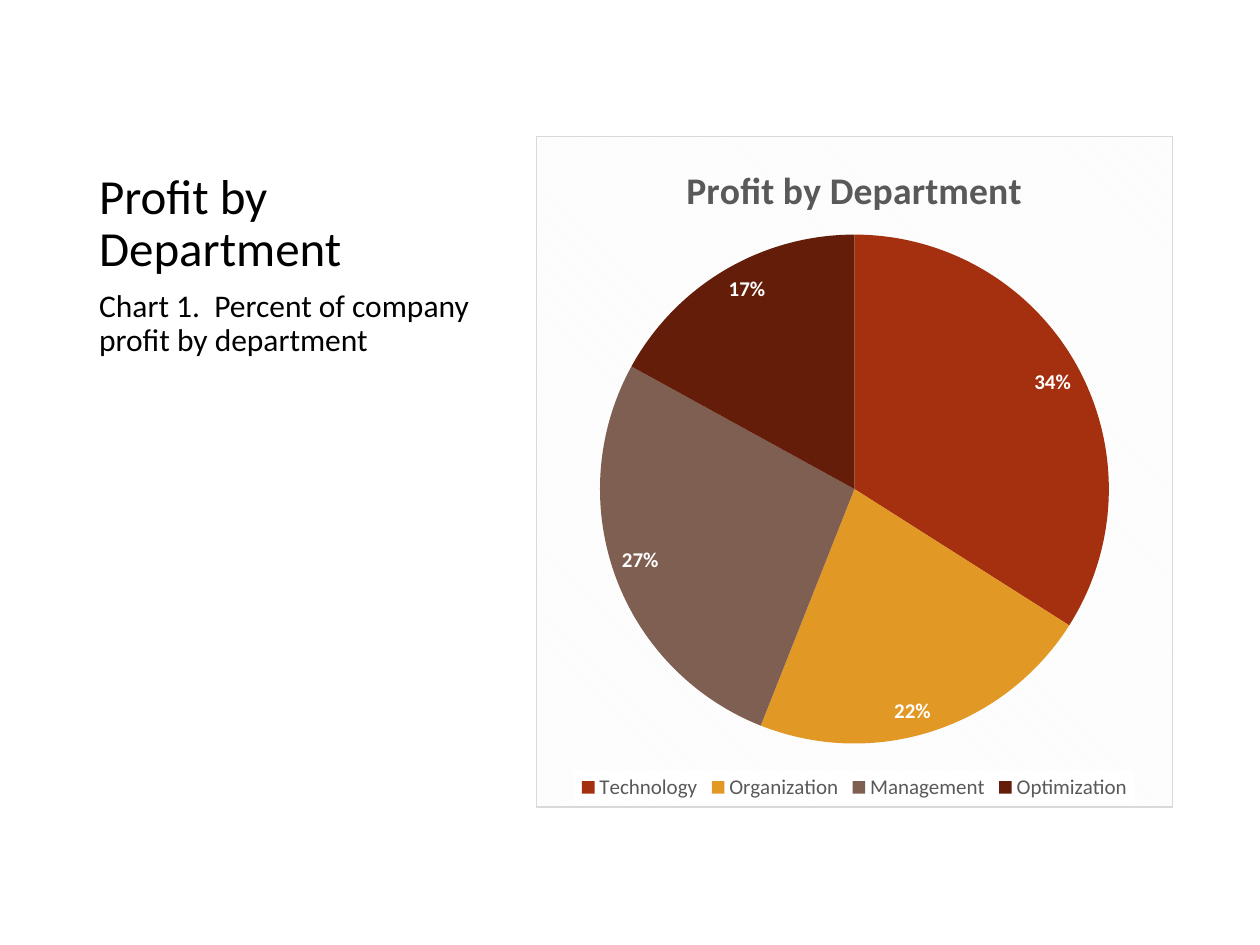
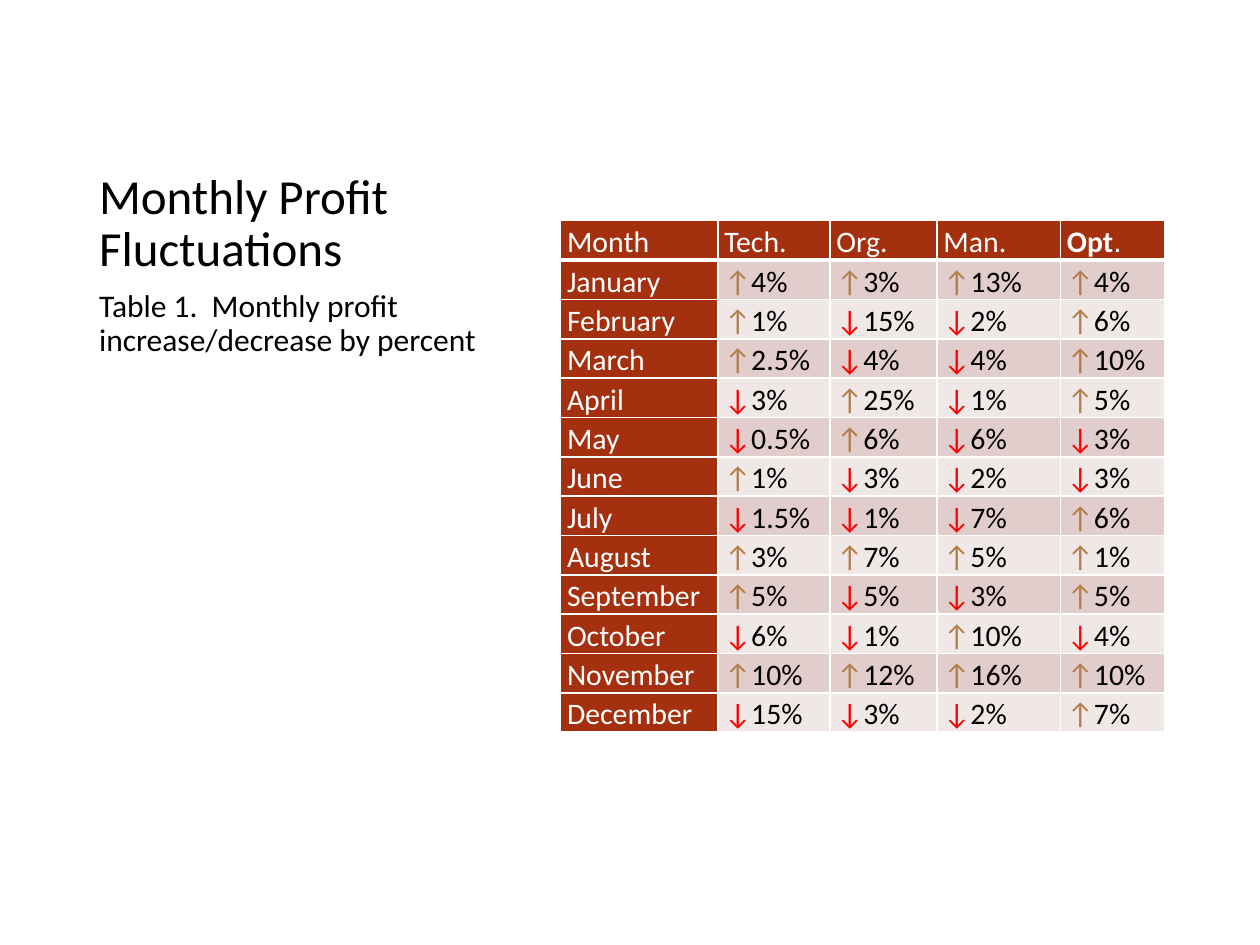
from pptx import Presentation
from pptx.chart.data import CategoryChartData
from pptx.dml.color import RGBColor
from pptx.enum.chart import XL_CHART_TYPE, XL_LABEL_POSITION, XL_LEGEND_POSITION
from pptx.enum.text import MSO_ANCHOR
from pptx.oxml import parse_xml
from pptx.oxml.ns import nsdecls, qn
from pptx.util import Cm, Pt

PIE = XL_CHART_TYPE.PIE
INSIDE_END = XL_LABEL_POSITION.INSIDE_END
LEGEND_BOTTOM = XL_LEGEND_POSITION.BOTTOM
TOP = MSO_ANCHOR.TOP
BOTTOM = MSO_ANCHOR.BOTTOM

FONT = "Calibri"
COLORS = {
    "text": "000000", "white": "FFFFFF", "gray": "595959",
    "border": "D9D9D9", "pattern": "F2F2F2",
    "rust": "A5300F", "amber": "E19825", "taupe": "7F5F52", "maroon": "631D09",
    "band_dark": "E1CDCC", "band_light": "F0E8E7",
    "up": "B27D49", "down": "FF0000",
}


def style_font(font, size, color, bold=False):
    font.name = FONT
    font.size = Pt(size)
    font.bold = bold
    font.color.rgb = RGBColor.from_string(COLORS[color])


def set_layout(element, position, x, y, width, height):
    """Place a chart part by fractions of the chart area."""
    for old in element.findall(qn("c:layout")):
        element.remove(old)
    target = '<c:layoutTarget val="inner"/>' if element.tag == qn("c:plotArea") else ""
    element.insert(position, parse_xml(
        f'<c:layout {nsdecls("c")}><c:manualLayout>{target}'
        '<c:xMode val="edge"/><c:yMode val="edge"/>'
        f'<c:x val="{x}"/><c:y val="{y}"/><c:w val="{width}"/><c:h val="{height}"/>'
        '</c:manualLayout></c:layout>'))


deck = Presentation()
deck.slide_width = Cm(25.4)
deck.slide_height = Cm(19.05)

# Title and caption on every slide
pages = []
for title, caption, caption_width in [
    ("Profit by Department", "Chart 1.  Percent of company profit by department", 8.2),
    ("Monthly Profit Fluctuations",
     "Table 1.  Monthly profit increase/decrease by percent", 8.86),
]:
    page = deck.slides.add_slide(deck.slide_layouts[6])
    pages.append(page)
    for text, top, width, height, size, anchor, space in [
        (title, 1.27, 8.2, 4.45, 28, BOTTOM, 0),
        (caption, 5.72, caption_width, 10.59, 18, TOP, 7.5),
    ]:
        box = page.shapes.add_textbox(Cm(1.75), Cm(top), Cm(width), Cm(height))
        frame = box.text_frame
        frame.word_wrap = True
        frame.vertical_anchor = anchor
        frame.text = text
        para = frame.paragraphs[0]
        para.line_spacing = 0.9
        para.space_before = Pt(space)
        style_font(para.runs[0].font, size, "text")

chart_page, table_page = pages

# Pie chart
departments = [("Technology", 34, "rust"), ("Organization", 22, "amber"),
               ("Management", 27, "taupe"), ("Optimization", 17, "maroon")]
chart_data = CategoryChartData()
chart_data.categories = [name for name, share, color in departments]
chart_data.add_series("Series 1", [share for name, share, color in departments])
chart = chart_page.shapes.add_chart(
    PIE, Cm(10.8), Cm(2.74), Cm(12.85), Cm(13.54), chart_data).chart
style_font(chart.font, 10, "text")

chart.has_title = True
chart.chart_title.text_frame.text = "Profit by Department"
title_run = chart.chart_title.text_frame.paragraphs[0].runs[0]
style_font(title_run.font, 21.6, "gray", bold=True)

plot = chart.plots[0]
plot.vary_by_categories = True
for index, (name, share, color) in enumerate(departments):
    fill = plot.series[0].points[index].format.fill
    fill.solid()
    fill.fore_color.rgb = RGBColor.from_string(COLORS[color])

plot.has_data_labels = True
labels = plot.data_labels
labels.show_percentage = True
labels.show_value = False
labels.number_format = "0%"
labels.number_format_is_linked = False
labels.position = INSIDE_END
style_font(labels.font, 12, "white", bold=True)

chart.has_legend = True
legend = chart.legend
legend.position = LEGEND_BOTTOM
legend.include_in_layout = False
style_font(legend.font, 12, "gray")

# Chart layout, patterned background and plain legend background
chart_space = chart._chartSpace
set_layout(chart_space.find(f'.//{qn("c:plotArea")}'), 0, 0.1, 0.146, 0.8, 0.76)
set_layout(legend._element, 1, 0.06, 0.95, 0.88, 0.05)
chart_space.find(qn("c:chart")).addnext(parse_xml(
    f'<c:spPr {nsdecls("c", "a")}><a:pattFill prst="dkDnDiag">'
    f'<a:fgClr><a:srgbClr val="{COLORS["pattern"]}"/></a:fgClr>'
    f'<a:bgClr><a:srgbClr val="{COLORS["white"]}"/></a:bgClr></a:pattFill>'
    f'<a:ln w="{Pt(0.75)}"><a:solidFill><a:srgbClr val="{COLORS["border"]}"/>'
    '</a:solidFill></a:ln></c:spPr>'))
legend._element.find(qn("c:overlay")).addnext(parse_xml(
    f'<c:spPr {nsdecls("c", "a")}><a:solidFill>'
    f'<a:srgbClr val="{COLORS["white"]}"/></a:solidFill></c:spPr>'))

# Monthly table
rows = [
    "Month Tech. Org. Man. Opt.",
    "January ↑4% ↑3% ↑13% ↑4%",
    "February ↑1% ↓15% ↓2% ↑6%",
    "March ↑2.5% ↓4% ↓4% ↑10%",
    "April ↓3% ↑25% ↓1% ↑5%",
    "May ↓0.5% ↑6% ↓6% ↓3%",
    "June ↑1% ↓3% ↓2% ↓3%",
    "July ↓1.5% ↓1% ↓7% ↑6%",
    "August ↑3% ↑7% ↑5% ↑1%",
    "September ↑5% ↓5% ↓3% ↑5%",
    "October ↓6% ↓1% ↑10% ↓4%",
    "November ↑10% ↑12% ↑16% ↑10%",
    "December ↓15% ↓3% ↓2% ↑7%",
]
column_widths = [3.17, 2.26, 2.16, 2.49, 2.1]
row_height = 0.79
table = table_page.shapes.add_table(
    len(rows), len(column_widths), Cm(11.3), Cm(4.45),
    Cm(sum(column_widths)), Cm(row_height * len(rows))).table
for column, width in zip(table.columns, column_widths):
    column.width = Cm(width)

for row_index, row in enumerate(rows):
    table.rows[row_index].height = Cm(row_height)
    band = "band_dark" if row_index % 2 else "band_light"
    for column_index, text in enumerate(row.split()):
        cell = table.cell(row_index, column_index)
        is_header = row_index == 0 or column_index == 0
        cell.margin_left = cell.margin_right = Cm(0.13)
        cell.margin_top = cell.margin_bottom = 0

        # Each span is its text, colour and weight
        if text == "Opt.":
            spans = [("Opt", "white", True), (".", "white", False)]
        elif is_header:
            spans = [(text, "white", False)]
        else:
            arrow_color = "up" if text[0] == "↑" else "down"
            spans = [(text[0], arrow_color, False), (text[1:], "text", False)]
        para = cell.text_frame.paragraphs[0]
        para.line_spacing = 1.1
        for span_text, color, bold in spans:
            span = para.add_run()
            span.text = span_text
            style_font(span.font, 17, color, bold)
            if span_text == ".":
                span.font.name = "Arial"

        # Borders come before the fill in the cell properties
        properties = cell._tc.get_or_add_tcPr()
        for side in ("lnL", "lnR", "lnT", "lnB"):
            weight = 3 if row_index == 0 and side == "lnB" else 1
            properties.append(parse_xml(
                f'<a:{side} {nsdecls("a")} w="{Pt(weight)}"><a:solidFill>'
                f'<a:srgbClr val="{COLORS["white"]}"/></a:solidFill></a:{side}>'))
        cell.fill.solid()
        cell.fill.fore_color.rgb = RGBColor.from_string(
            COLORS["rust" if is_header else band])

deck.save("out.pptx")
